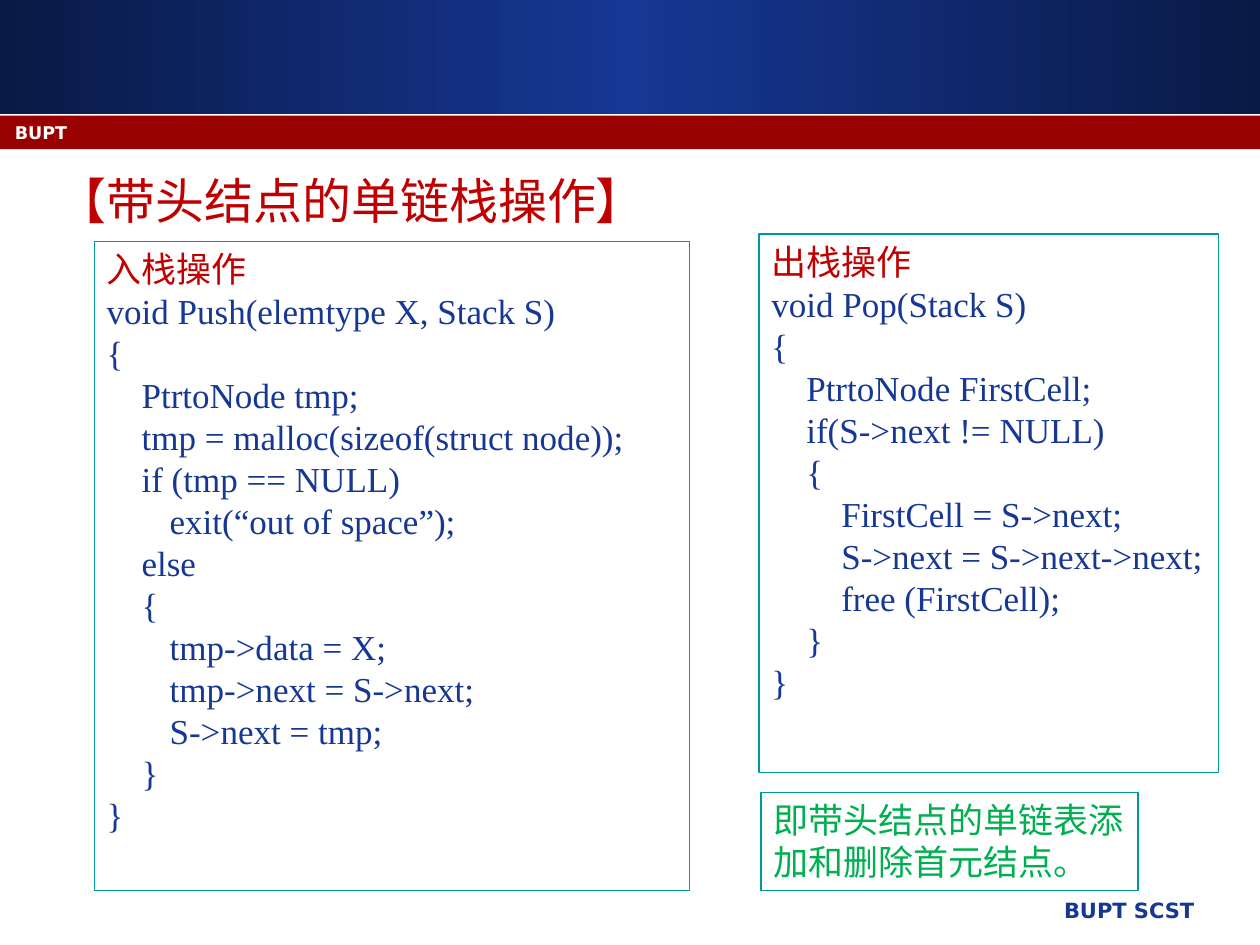
import copy

import pptx
import pptx.dml.color
import pptx.enum.shapes
import pptx.enum.text
import pptx.util

Cm = pptx.util.Cm
Align = pptx.enum.text.PP_ALIGN

HUES = {
    "navy": "0A1A46",
    "blue": "163794",
    "band": "990000",
    "red": "C00000",
    "green": "00B050",
    "teal": "009999",
    "white": "FFFFFF",
}

PUSH = """入栈操作
void Push(elemtype X, Stack S)
{
    PtrtoNode tmp;
    tmp = malloc(sizeof(struct node));
    if (tmp == NULL)
\texit(“out of space”);
    else
    {
\ttmp->data = X;
\ttmp->next = S->next;
\tS->next = tmp;
    }
}"""

POP = """出栈操作
void Pop(Stack S)
{
    PtrtoNode FirstCell;
    if(S->next != NULL)
    {
        FirstCell = S->next;
        S->next = S->next->next;
        free (FirstCell);
    }
}"""


def tint(name):
    return pptx.dml.color.RGBColor.from_string(HUES[name])


class Deck:
    serif = "Times New Roman"
    sans = "DejaVu Sans"
    song = "Noto Sans CJK SC"

    def __init__(self, wide, high):
        self.show = pptx.Presentation()
        self.show.slide_width = Cm(wide)
        self.show.slide_height = Cm(high)
        self.slide = self.show.slides.add_slide(self.show.slide_layouts[5])

    def words(self, shape, text, size, font, hues, bold=False, align=Align.LEFT, wrap=True):
        frame = shape.text_frame
        frame.text = text
        frame.word_wrap = wrap
        frame.auto_size = pptx.enum.text.MSO_AUTO_SIZE.NONE
        frame.vertical_anchor = pptx.enum.text.MSO_ANCHOR.TOP
        for row, para in enumerate(frame.paragraphs):
            para.alignment = align
            for run in para.runs:
                run.font.name = font
                run.font.size = pptx.util.Pt(size)
                run.font.bold = bold
                run.font.color.rgb = tint(hues[min(row, len(hues) - 1)])

    def title(self, text, *place):
        shape = self.slide.shapes.title
        shape.left, shape.top, shape.width, shape.height = map(Cm, place)
        self.words(shape, text, 28, self.song, ["red"], wrap=False)

    def rect(self, *place):
        kind = pptx.enum.shapes.MSO_SHAPE.RECTANGLE
        shape = self.slide.shapes.add_shape(kind, *map(Cm, place))
        shape.shadow.inherit = False
        return shape

    def bar(self, hue, *place):
        shape = self.rect(*place)
        shape.fill.solid()
        shape.fill.fore_color.rgb = tint(hue)
        shape.line.fill.background()

    def blend(self, edge, core, *place):
        shape = self.rect(*place)
        shape.line.fill.background()
        fill = shape.fill
        fill.gradient()
        fill.gradient_angle = 0
        last = fill.gradient_stops[1]._gs
        last.addprevious(copy.deepcopy(last))
        for stop, hue, spot in zip(fill.gradient_stops, (edge, core, edge), (0, 0.5, 1)):
            stop.color.rgb = tint(hue)
            stop.position = spot

    def panel(self, text, hues, *place, wrap=True):
        shape = self.rect(*place)
        shape.fill.background()
        shape.line.color.rgb = tint("teal")
        shape.line.width = pptx.util.Pt(0.75)
        self.words(shape, text, 20, self.serif, hues, wrap=wrap)

    def label(self, text, size, hue, *place, align=Align.LEFT):
        shape = self.slide.shapes.add_textbox(*map(Cm, place))
        self.words(shape, text, size, self.sans, [hue], bold=True, align=align)


def main():
    deck = Deck(25.4, 19.05)
    deck.blend("navy", "blue", 0, 0, 25.4, 2.31)
    deck.bar("band", 0, 2.33, 25.4, 0.68)
    deck.label("BUPT SCST", 12, "blue", 10.69, 17.96, 13.64, 0.89, align=Align.RIGHT)
    deck.label("BUPT", 10, "white", 0.05, 2.34, 23.5, 0.64)
    deck.title("【带头结点的单链栈操作】", 0.91, 3.3, 12.47, 1.45)
    deck.panel(PUSH, ["red", "blue"], 1.9, 4.87, 12, 13.08)
    deck.panel(POP, ["red", "blue"], 15.3, 4.72, 9.27, 10.86, wrap=False)
    deck.panel("即带头结点的单链表添加和删除首元结点。", ["green"], 15.34, 15.98, 7.6, 1.97)
    deck.show.save("out.pptx")


if __name__ == "__main__":
    main()
